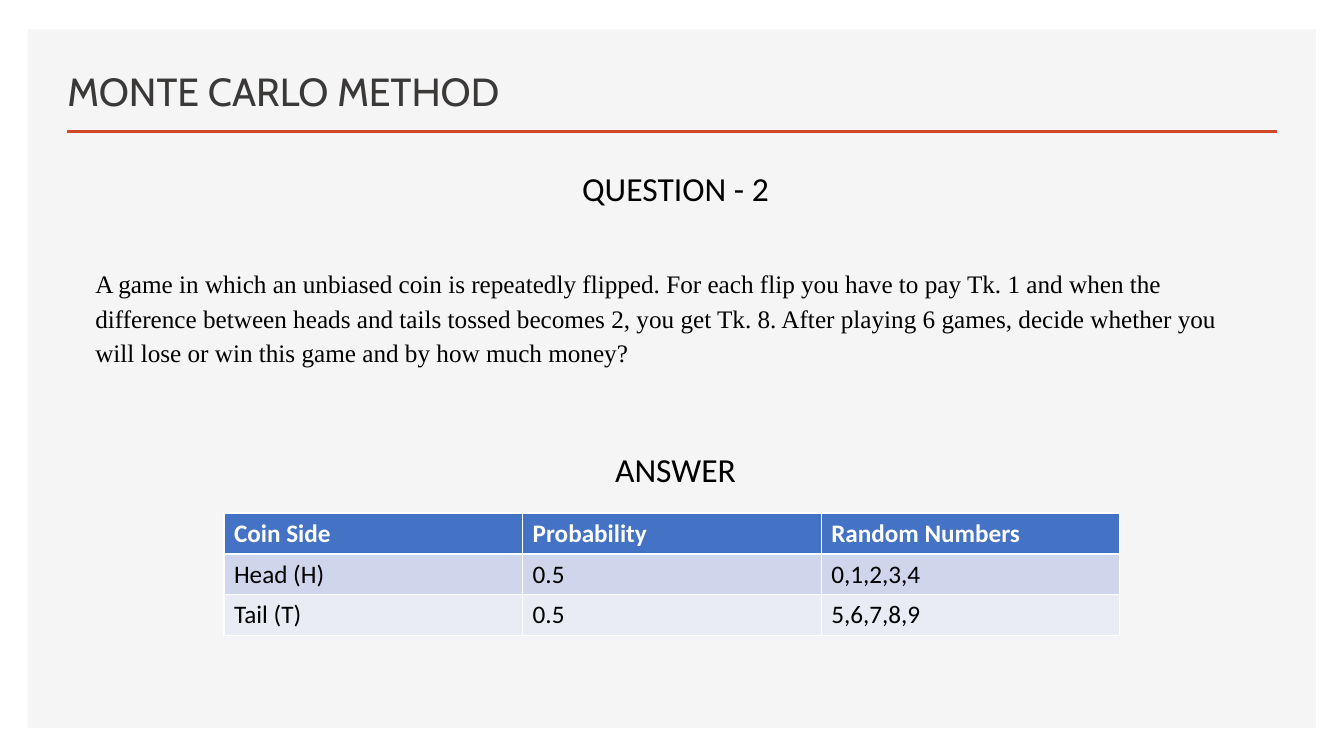
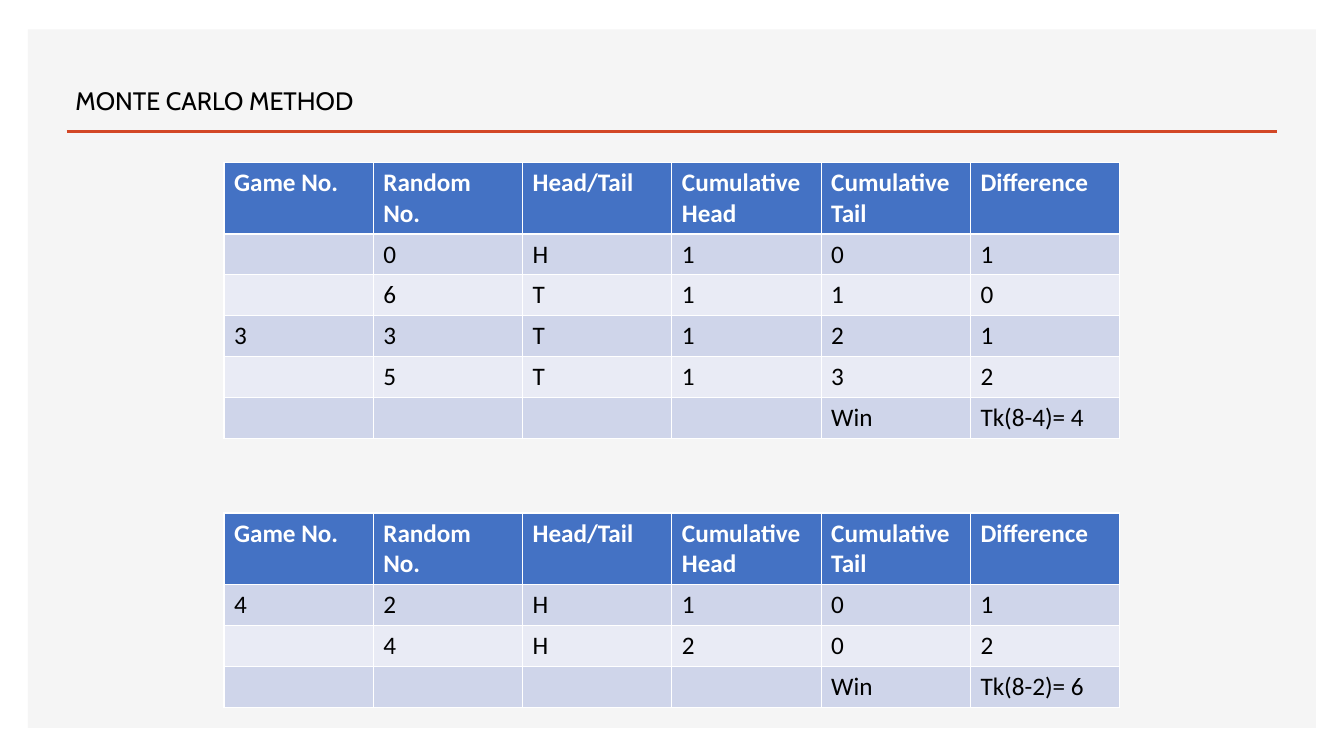
from pptx import Presentation
from pptx.dml.color import RGBColor
from pptx.enum import shapes, text
from pptx.oxml import parse_xml
from pptx.oxml.ns import nsdecls
from pptx.util import Pt

PANEL = RGBColor(0xF5, 0xF5, 0xF5)
RULE = RGBColor(0xD2, 0x47, 0x26)
SLATE = RGBColor(0x3B, 0x38, 0x38)
BLACK = RGBColor(0, 0, 0)
WHITE = RGBColor(255, 255, 255)
BLUE = RGBColor(0x44, 0x72, 0xC4)
BANDS = RGBColor(0xCF, 0xD5, 0xEA), RGBColor(0xE9, 0xEB, 0xF5)

TITLE = "MONTE CARLO METHOD"
TASK = (
    "A game in which an unbiased coin is repeatedly flipped. For each flip "
    "you have to pay Tk. 1 and when the difference between heads and tails "
    "tossed becomes 2, you get Tk. 8. After playing 6 games, decide whether "
    "you will lose or win this game and by how much money?"
)
BODY = [
    ("QUESTION - 2", 24, "Calibri", True, 1.07, 0),
    (TASK, 18, "Times New Roman", False, 1.15, 39.5),
    ("ANSWER", 24, "Calibri", True, 1.07, 55.6),
]
COINS = [
    ("Coin Side", "Probability", "Random Numbers"),
    ("Head (H)", "0.5", "0,1,2,3,4"),
    ("Tail (T)", "0.5", "5,6,7,8,9"),
]
HEADS = ("Game No.", "Random No.", "Head/Tail",
         "Cumulative\nHead", "Cumulative\nTail", "Difference")
GAME3 = [
    HEADS,
    ("", "0", "H", "1", "0", "1"),
    ("", "6", "T", "1", "1", "0"),
    ("3", "3", "T", "1", "2", "1"),
    ("", "5", "T", "1", "3", "2"),
    ("", "", "", "", "Win", "Tk(8-4)= 4"),
]
GAME4 = [
    HEADS,
    ("4", "2", "H", "1", "0", "1"),
    ("", "4", "H", "2", "0", "2"),
    ("", "", "", "", "Win", "Tk(8-2)= 6"),
]
LEFT, WIDE, ROW, TALL = 160, 640, 29.2, 50.8
UPPER, LOWER = 116, 366.5


def style(para, size, face, color, bold=False):
    font = para.font
    font.size, font.name, font.bold = Pt(size), face, bold
    font.color.rgb = color


def add_text(slide, box, lines, color, anchor=text.MSO_ANCHOR.TOP):
    frame = slide.shapes.add_textbox(*map(Pt, box)).text_frame
    frame.word_wrap = True
    frame.vertical_anchor = anchor
    for i, (words, size, face, mid, lead, gap) in enumerate(lines):
        para = frame.add_paragraph() if i else frame.paragraphs[0]
        para.text = words
        para.line_spacing = lead
        if gap:
            para.space_before = Pt(gap)
        if mid:
            para.alignment = text.PP_ALIGN.CENTER
        style(para, size, face, color)


def add_grid(slide, top, rows):
    count = len(rows[0])
    head = TALL if any("\n" in word for word in rows[0]) else ROW
    high = head + ROW * (len(rows) - 1)
    grid = slide.shapes.add_table(
        len(rows), count, Pt(LEFT), Pt(top), Pt(WIDE), Pt(high)).table
    for col in grid.columns:
        col.width = Pt(WIDE / count)
    for r, row in enumerate(rows):
        grid.rows[r].height = Pt(ROW if r else head)
        for c, words in enumerate(row):
            cell = grid.cell(r, c)
            cell.text = words
            cell.fill.solid()
            cell.fill.fore_color.rgb = BANDS[(r - 1) % 2] if r else BLUE
            for para in cell.text_frame.paragraphs:
                style(para, 18, "Calibri", BLACK if r else WHITE, not r)


def add_slide(deck):
    slide = deck.slides.add_slide(deck.slide_layouts[6])
    panel = slide.shapes.add_shape(
        shapes.MSO_SHAPE.RECTANGLE, Pt(20), Pt(21), Pt(920), Pt(499))
    panel.shadow.inherit = False
    panel.fill.solid()
    panel.fill.fore_color.rgb = PANEL
    panel.line.fill.background()
    rule = slide.shapes.add_connector(
        shapes.MSO_CONNECTOR.STRAIGHT, Pt(47.7), Pt(94), Pt(912), Pt(94))
    rule.line.color.rgb = RULE
    rule.line.width = Pt(2)
    rule._element.spPr.append(parse_xml(f"<a:effectLst {nsdecls('a')}/>"))
    return slide


def main():
    deck = Presentation()
    deck.slide_width, deck.slide_height = Pt(960), Pt(540)

    slide = add_slide(deck)
    add_text(slide, (41, 35.3, 541, 50.4),
             [(TITLE, 28, "Cabin", False, 0.9, 0)], SLATE,
             text.MSO_ANCHOR.BOTTOM)
    add_text(slide, (61, 114.5, 843, 279), BODY, BLACK)
    add_grid(slide, LOWER, COINS)

    slide = add_slide(deck)
    add_grid(slide, UPPER, GAME3)
    add_grid(slide, LOWER, GAME4)
    add_text(slide, (46.8, 57.6, 480, 29),
             [(TITLE, 18, "Cabin", False, 1.0, 0)], BLACK)

    deck.save("out.pptx")


if __name__ == "__main__":
    main()
